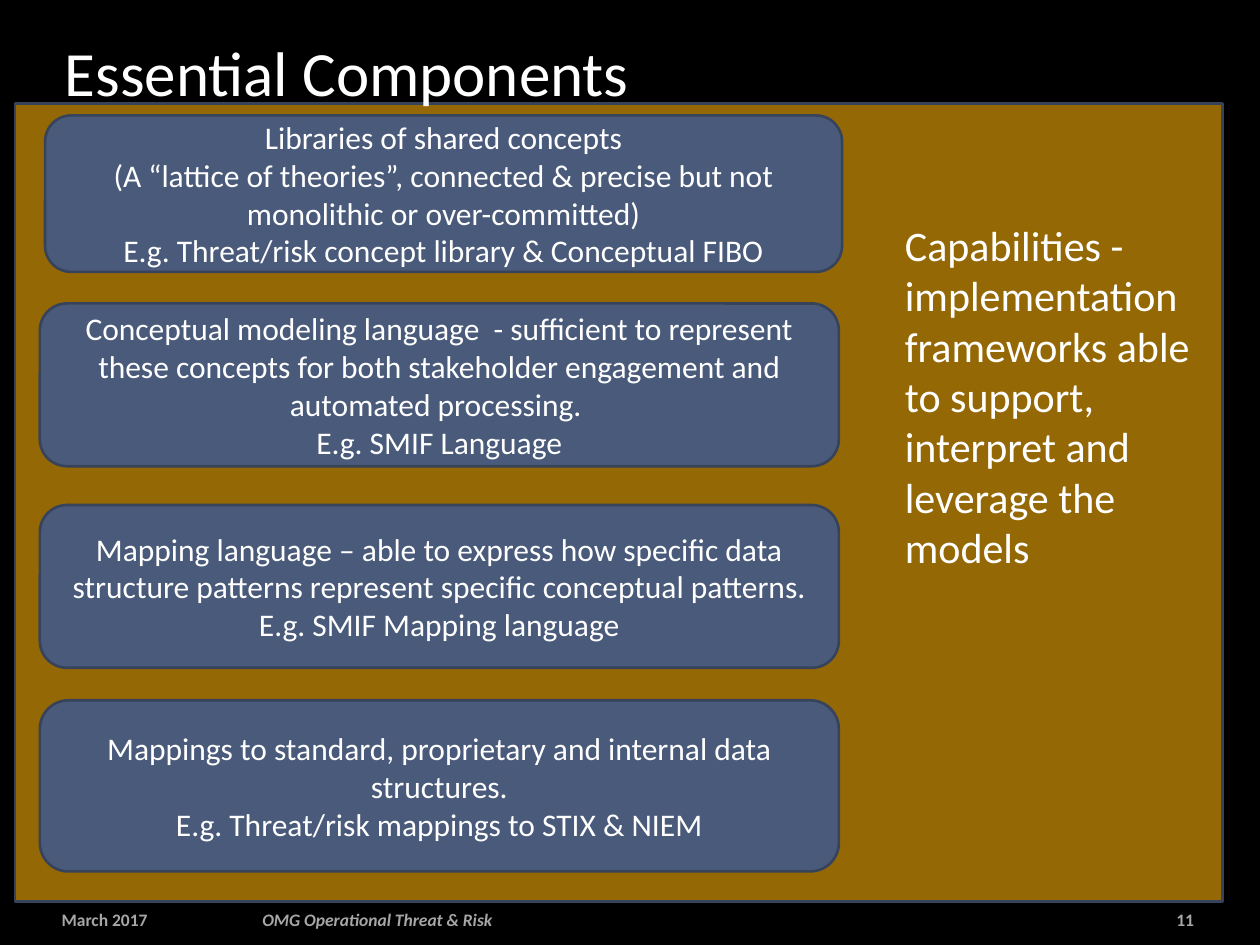
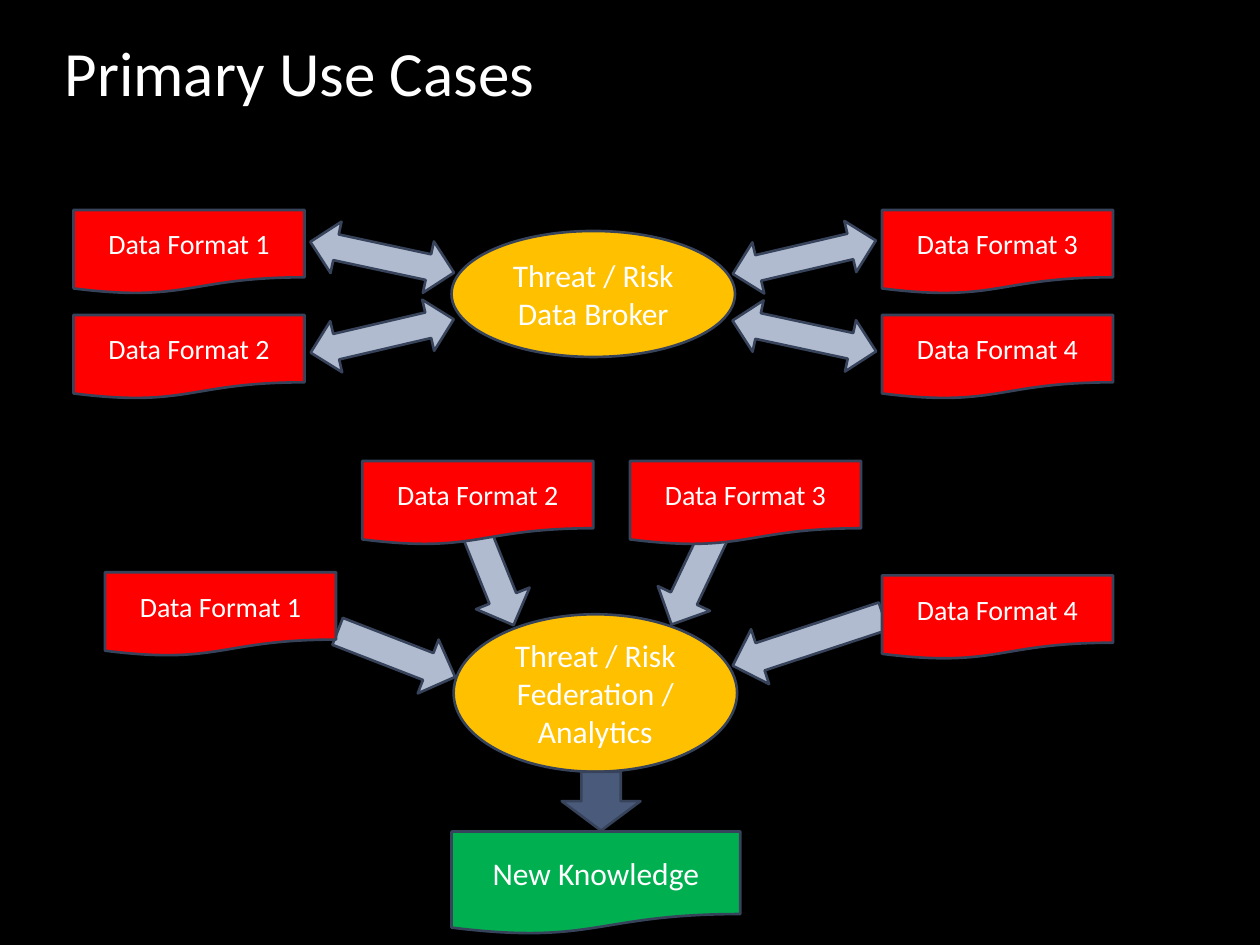
import pptx
import pptx.util
import pptx.dml.color
import pptx.enum.shapes
import pptx.enum.text

SHAPE = pptx.enum.shapes.MSO_SHAPE
ALIGN = pptx.enum.text.PP_ALIGN
ANCHOR = pptx.enum.text.MSO_ANCHOR
FONT = "Calibri"
COLORS = {
    "background": "000000", "panel": "956806", "component": "4A5A7A",
    "outline": "37435A", "text": "FFFFFF", "footer": "A6A6A6",
    "arrow": "B1BBD0", "format": "FF0000", "hub": "FFC000", "result": "00B050",
}
SLIDE_WIDTH, SLIDE_HEIGHT = 10, 7.5
COLUMNS = 120
CELL = SLIDE_WIDTH / COLUMNS

TITLE_BOX = (5, 2, 101, 9)
PANEL_BOX = (1.44, 9.84, 115, 76)
CAPABILITIES = "Capabilities - implementation frameworks able to support, interpret and leverage the models"
CAPABILITIES_BOX = (85, 20.3, 31, 35.2)
COMPONENTS = [
    ((4.3, 11, 75.9, 14.9), [
        "Libraries of shared concepts",
        "(A “lattice of theories”, connected & precise but not monolithic or over-committed)",
        "E.g. Threat/risk concept library & Conceptual FIBO"]),
    ((3.8, 28.9, 76.1, 15.5), [
        "Conceptual modeling language  - sufficient to represent these concepts "
        "for both stakeholder engagement and automated processing. ",
        "E.g. SMIF Language"]),
    ((3.8, 48.1, 76.1, 15.5), [
        "Mapping language – able to express how specific data structure patterns "
        "represent specific conceptual patterns. E.g. SMIF Mapping language"]),
    ((3.8, 66.7, 76.1, 16.3), [
        "Mappings to standard, proprietary and internal data structures.",
        "E.g. Threat/risk mappings to STIX & NIEM"]),
]
FOOTERS = [
    ("March 2017", 4.7, 19, ALIGN.LEFT, False),
    ("11", 103.4, 11.5, ALIGN.RIGHT, False),
    ("OMG Operational Threat & Risk", 23.8, 53.6, ALIGN.LEFT, True),
]
FOOTER_TOP, FOOTER_HEIGHT = 85.9, 3.3

FORMAT_SIZE = (22, 8)
BROKER_FORMAT_COLUMNS, BROKER_FORMAT_ROWS = (7, 84), (20, 30)
BROKER_ARROW_COLUMNS, BROKER_ARROW_ROWS = (29.4, 69.6), (22, 29.5)
BROKER_ARROW_SIZE = (14, 5)
DOWNWARD, UPWARD = 12.1, -13.1
FEDERATION_FORMATS = [(10, 54.5), (34.5, 43.9), (60, 43.9), (84, 54.8)]
FEDERATION_ARROW_WIDTH = 5.5
FEDERATION_ARROWS = [
    (44.3, 49.9, 10, 338.1), (35, 56.3, 12, 291.2),
    (63.5, 49.3, 10.7, 25.4), (74.2, 53.5, 15.1, 71.8),
]
HUBS = [
    ((43, 22, 27, 12), ["Threat / Risk", "Data Broker"]),
    ((43.2, 58.5, 27, 15), ["Threat / Risk", "Federation / Analytics"]),
]
RESULT_ARROW_BOX = (53.5, 73.5, 7.5, 5.6)
RESULT_BOX = (43, 79.2, 27.5, 9.8)


def rgb(name):
    return pptx.dml.color.RGBColor.from_string(COLORS[name])


def place(box):
    return [pptx.util.Inches(cells * CELL) for cells in box]


def write(shape, lines, size, align, anchor, color="text", bold=False, italic=False):
    frame = shape.text_frame
    frame.word_wrap = True
    frame.vertical_anchor = anchor
    frame.text = "\n".join(lines)
    for paragraph in frame.paragraphs:
        paragraph.alignment = align
        font = paragraph.font
        font.name, font.size = FONT, pptx.util.Pt(size)
        font.bold, font.italic = bold, italic
        font.color.rgb = rgb(color)


def add_text(slide, box, text, size, align=ALIGN.LEFT, anchor=ANCHOR.TOP, **style):
    write(slide.shapes.add_textbox(*place(box)), [text], size, align, anchor, **style)


def add_box(slide, kind, box, fill, lines=(), size=18, rotation=0):
    shape = slide.shapes.add_shape(kind, *place(box))
    shape.shadow.inherit = False
    shape.rotation = rotation
    shape.fill.solid()
    shape.fill.fore_color.rgb = rgb(fill)
    shape.line.color.rgb = rgb("outline")
    shape.line.width = pptx.util.Pt(1.5)
    if lines:
        write(shape, lines, size, ALIGN.CENTER, ANCHOR.MIDDLE)


def add_format(slide, number, left, top):
    add_box(slide, SHAPE.FLOWCHART_DOCUMENT, (left, top, *FORMAT_SIZE), "format",
            [f"Data Format {number}"], 16)


def add_slide(presentation):
    slide = presentation.slides.add_slide(presentation.slide_layouts[6])
    slide.background.fill.solid()
    slide.background.fill.fore_color.rgb = rgb("background")
    return slide


def add_title(slide, title):
    add_text(slide, TITLE_BOX, title, 36, anchor=ANCHOR.BOTTOM)


def build_components(presentation):
    slide = add_slide(presentation)
    add_box(slide, SHAPE.RECTANGLE, PANEL_BOX, "panel")
    for text, left, width, align, italic in FOOTERS:
        add_text(slide, (left, FOOTER_TOP, width, FOOTER_HEIGHT), text, 10, align,
                 ANCHOR.MIDDLE, color="footer", bold=True, italic=italic)
    add_title(slide, "Essential Components")
    for box, lines in COMPONENTS:
        add_box(slide, SHAPE.ROUNDED_RECTANGLE, box, "component", lines)
    add_text(slide, CAPABILITIES_BOX, CAPABILITIES, 24)


def build_use_cases(presentation):
    slide = add_slide(presentation)
    for left, top, length, rotation in FEDERATION_ARROWS:
        add_box(slide, SHAPE.DOWN_ARROW, (left, top, FEDERATION_ARROW_WIDTH, length),
                "arrow", rotation=rotation)
    add_title(slide, "Primary Use Cases")
    for box, lines in HUBS:
        add_box(slide, SHAPE.OVAL, box, "hub", lines)
    for side in range(2):
        for row in range(2):
            add_format(slide, 2 * side + row + 1,
                       BROKER_FORMAT_COLUMNS[side], BROKER_FORMAT_ROWS[row])
            add_box(slide, SHAPE.LEFT_RIGHT_ARROW,
                    (BROKER_ARROW_COLUMNS[side], BROKER_ARROW_ROWS[row], *BROKER_ARROW_SIZE),
                    "arrow", rotation=DOWNWARD if side == row else UPWARD)
    for number, (left, top) in enumerate(FEDERATION_FORMATS, 1):
        add_format(slide, number, left, top)
    add_box(slide, SHAPE.DOWN_ARROW, RESULT_ARROW_BOX, "component")
    add_box(slide, SHAPE.FLOWCHART_DOCUMENT, RESULT_BOX, "result", ["New Knowledge"])


def main():
    """Build the threat and risk slides."""
    presentation = pptx.Presentation()
    presentation.slide_width = pptx.util.Inches(SLIDE_WIDTH)
    presentation.slide_height = pptx.util.Inches(SLIDE_HEIGHT)
    build_components(presentation)
    build_use_cases(presentation)
    presentation.save("out.pptx")


if __name__ == "__main__":
    main()
